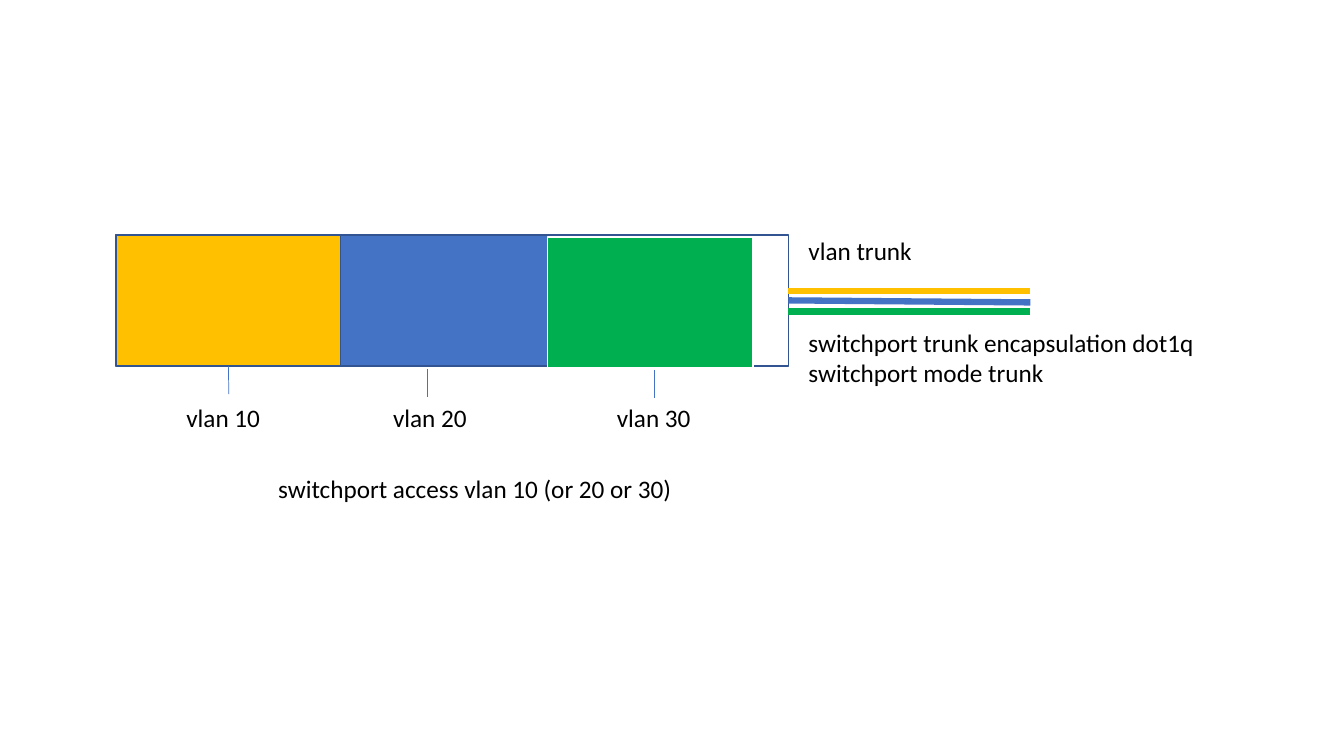
import pptx
import pptx.util
import pptx.dml.color
import pptx.oxml
import pptx.enum.shapes
import pptx.enum.text

WIDTH, HEIGHT = 13.33, 7.5
COLORS = {
    "gold": "FFC000", "blue": "4472C4", "green": "00B050",
    "edge": "325491", "white": "FFFFFF", "text": "000000",
}
BOTTOM, RIGHT = 2, 3
SWITCH_BOX = (1.15, 2.33, 6.67, 1.3)
LABEL_HEIGHT = 0.4

# Offsets from the switch's left and top: port x, y, width; tick x, y; label x
VLANS = [
    ("vlan 10", "gold", "edge", (0, 0, 2.23), (1.12, 1.3), 0.6),
    ("vlan 20", "blue", "edge", (2.23, 0, 2.05), (3.09, 1.33), 2.65),
    ("vlan 30", "green", "white", (4.28, 0.02, 2.04), (5.34, 1.34), 4.87),
]
# Offsets of each strand's two ends from the middle of the switch
STRANDS = [("gold", -0.09, -0.09), ("blue", 0, 0.02), ("green", 0.11, 0.11)]


def inches(*lengths):
    return [pptx.util.Inches(length) for length in lengths]


def color(name):
    return pptx.dml.color.RGBColor.from_string(COLORS[name])


def add_block(page, box, fill, edge):
    block = page.shapes.add_shape(
        pptx.enum.shapes.MSO_SHAPE.RECTANGLE, *inches(*box))
    block.shadow.inherit = False
    if fill:
        block.fill.solid()
        block.fill.fore_color.rgb = color(fill)
    else:
        block.fill.background()
    block.line.color.rgb = color(edge)
    block.line.width = pptx.util.Pt(1)
    return block


def add_line(page, start, end, shade, weight):
    line = page.shapes.add_connector(
        pptx.enum.shapes.MSO_CONNECTOR.STRAIGHT, *inches(*start, *end))
    line.line.color.rgb = color(shade)
    line.line.width = pptx.util.Pt(weight)
    line._element.spPr.append(pptx.oxml.parse_xml(
        '<a:effectLst xmlns:a='
        '"http://schemas.openxmlformats.org/drawingml/2006/main"/>'))
    return line


def add_label(page, box, *texts):
    frame = page.shapes.add_textbox(*inches(*box)).text_frame
    frame.word_wrap = True
    frame.auto_size = pptx.enum.text.MSO_AUTO_SIZE.SHAPE_TO_FIT_TEXT
    style = {"name": "Calibri", "size": pptx.util.Pt(18)}
    for index, text in enumerate(texts):
        para = frame.paragraphs[0] if index == 0 else frame.add_paragraph()
        span = para.add_run()
        span.text = text
        for key, value in style.items():
            setattr(span.font, key, value)
        span.font.color.rgb = color("text")


def add_access_ports(page, box):
    """Draw the switch with its coloured ports and return its outline."""
    left, top, width, height = box
    switch = add_block(page, box, None, "edge")
    for name, fill, edge, port, tick, label_x in VLANS:
        port_x, port_y, port_width = port
        block = add_block(
            page, (left + port_x, top + port_y, port_width, height), fill, edge)
        x, y = left + tick[0], top + tick[1]
        line = add_line(page, (x, y), (x, y + 0.28), "blue", 0.5)
        if name == "vlan 10":
            line.begin_connect(block, BOTTOM)
        add_label(page, (left + label_x, top + 1.61, 1.63, LABEL_HEIGHT), name)
    add_label(page, (left + 1.51, top + 2.32, 4.28, LABEL_HEIGHT),
              "switchport access vlan 10 (or 20 or 30)")
    return switch


def add_trunk(page, box, switch):
    """Draw the three strands leaving the right side of the switch."""
    left, top, width, height = box
    middle = top + height / 2
    for shade, start, end in STRANDS:
        strand = add_line(page, (left, middle + start),
                          (left + width, middle + end), shade, 4.5)
        if start == 0:
            strand.begin_connect(switch, RIGHT)
    add_label(page, (left + 0.1, top - 0.04, 4.28, LABEL_HEIGHT), "vlan trunk")
    add_label(page, (left + 0.1, top + 0.87, 4.28, 0.71),
              "switchport trunk encapsulation dot1q", "switchport mode trunk")


def main():
    deck = pptx.Presentation()
    deck.slide_width, deck.slide_height = inches(WIDTH, HEIGHT)
    page = deck.slides.add_slide(deck.slide_layouts.get_by_name("Blank"))
    left, top, width, height = SWITCH_BOX
    switch = add_access_ports(page, SWITCH_BOX)
    add_trunk(page, (left + width, top, 2.4, height), switch)
    deck.save("out.pptx")


if __name__ == "__main__":
    main()
